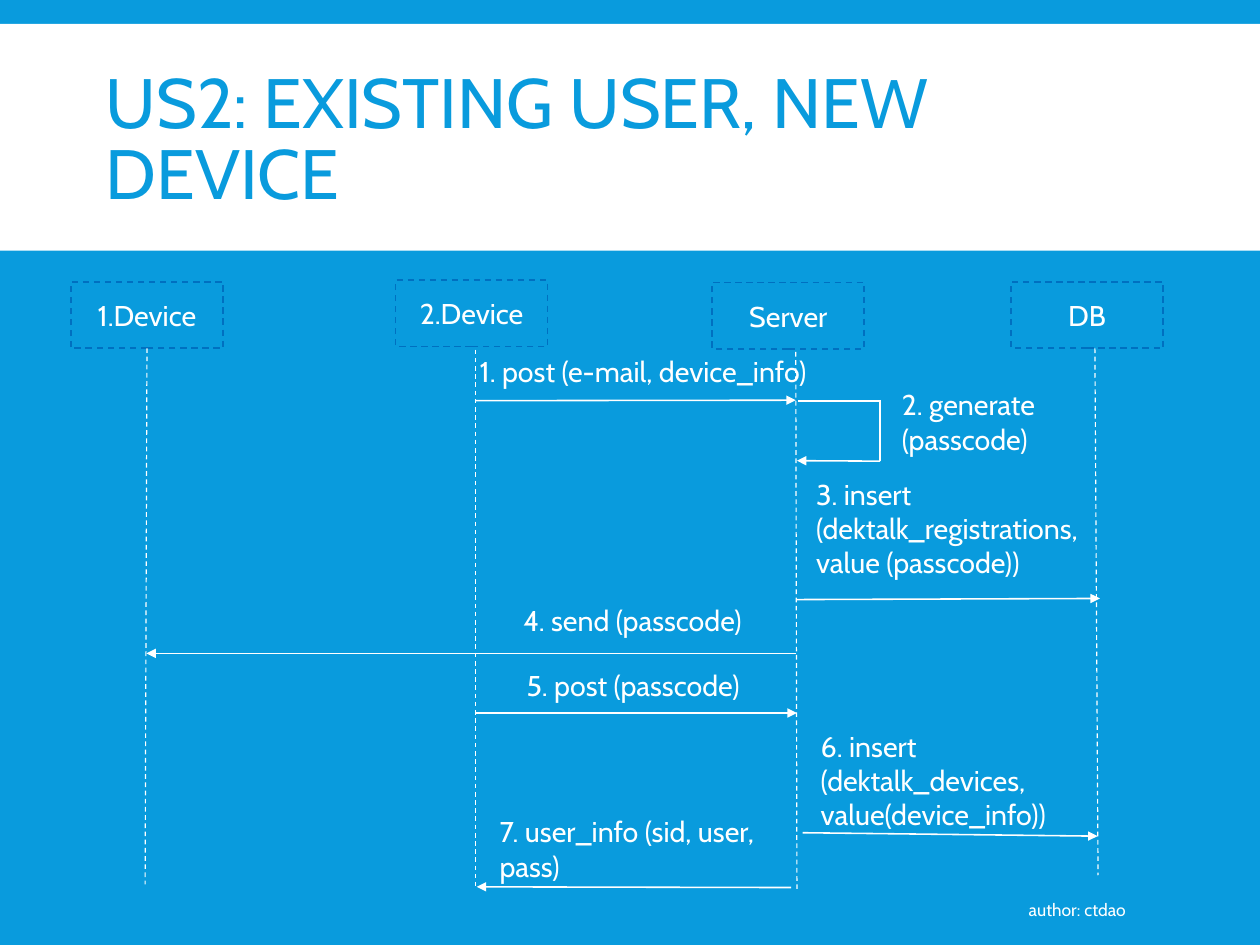
"""Builds the sequence diagram slide for an existing user with a new device."""
from pptx import Presentation
from pptx.dml.color import RGBColor
from pptx.enum.dml import MSO_LINE
from pptx.enum.shapes import MSO_CONNECTOR, MSO_SHAPE
from pptx.enum.text import MSO_ANCHOR, PP_ALIGN
from pptx.oxml.ns import qn
from pptx.util import Emu, Pt
from lxml.etree import SubElement

BLUE, WHITE, EDGE = "099BDD", "FFFFFF", "0070C0"
rgb = RGBColor.from_string

prs = Presentation()
prs.slide_width, prs.slide_height = Emu(10080625), Emu(7559675)
s = prs.slides.add_slide(prs.slide_layouts[6])
s.background.fill.solid()
s.background.fill.fore_color.rgb = rgb(BLUE)


def grid(*shares):
    """Turn alternating percentages of slide width and height into lengths."""
    sides = (prs.slide_width, prs.slide_height) * 2
    return [round(side * share / 100) for side, share in zip(sides, shares)]


def write(sp, text, size=18, align=PP_ALIGN.LEFT, anchor=MSO_ANCHOR.MIDDLE, color=WHITE):
    """Put one run of text into a shape."""
    tf = sp.text_frame
    tf.word_wrap = True
    tf.vertical_anchor = anchor
    p = tf.paragraphs[0]
    p.alignment = align
    r = p.add_run()
    r.text = text
    r.font.name, r.font.size = "Cabin", Pt(size)
    r.font.color.rgb = rgb(color)
    return p


band = s.shapes.add_shape(MSO_SHAPE.RECTANGLE, *grid(0, 2.54, 100, 24))
band.shadow.inherit = False
band.fill.solid()
band.fill.fore_color.rgb = rgb(WHITE)
band.line.fill.background()

title = s.shapes.add_textbox(*grid(7.5, 4.1, 85.03, 22))
write(title, "US2: EXISTING USER, NEW DEVICE", 44, color=BLUE).line_spacing = 0.85
author = s.shapes.add_textbox(*grid(45.8, 93.59, 44.46, 5.32))
write(author, "author: ctdao", 11, PP_ALIGN.RIGHT)

participants = [
    ("1.Device", 5.63, 29.85, (11.66, 36.88, 11.52, 93.59)),
    ("2.Device", 31.4, 29.65, (37.75, 37, 37.75, 93.71)),
    ("Server", 56.53, 29.9, (63.16, 37.24, 63.25, 94.07)),
    ("DB", 80.25, 29.85, (86.9, 36.88, 87.15, 92.62)),
]
box_w, box_h = 12.07, 7.01
lines = []
for name, left, top, lifeline in participants:
    box = s.shapes.add_shape(MSO_SHAPE.RECTANGLE, *grid(left, top, box_w, box_h))
    box.shadow.inherit = False
    box.fill.background()
    box.line.color.rgb = rgb(EDGE)
    box.line.width = Pt(1)
    box.line.dash_style = MSO_LINE.DASH
    write(box, name, align=PP_ALIGN.CENTER)
    centred = abs(lifeline[0] - left - box_w / 2) < 0.1
    lines.append((lifeline, "lifeline", box if centred else None))

lines += [(ends, kind, None) for ends, kind in [
    ((37.75, 42.4, 63.16, 42.35), "arrow"),
    ((63.34, 42.44, 69.78, 42.44), "plain"),
    ((69.85, 42.32, 69.85, 48.8), "plain"),
    ((69.85, 48.8, 63.25, 48.75), "arrow"),
    ((63.25, 63.45, 87.3, 63.33), "arrow"),
    ((63.16, 69.15, 11.62, 69.15), "arrow"),
    ((37.75, 75.45, 63.25, 75.45), "arrow"),
    ((63.7, 88.12, 87.11, 88.48), "arrow"),
    ((62.79, 93.92, 37.84, 93.85), "arrow"),
]]
for ends, kind, box in lines:
    c = s.shapes.add_connector(MSO_CONNECTOR.STRAIGHT, *grid(*ends))
    if box:
        c.begin_connect(box, 2)
    c.line.color.rgb = rgb(WHITE)
    c.line.width = Pt(0.75 if kind == "lifeline" else 1)
    if kind == "lifeline":
        c.line.dash_style = MSO_LINE.DASH
    if kind == "arrow":
        SubElement(c.line._get_or_add_ln(), qn("a:tailEnd"), type="triangle")
    SubElement(c._element.spPr, qn("a:effectLst"))

labels = [
    ("1. post (e-mail, device_info)", 37.18, 36.88, 28.31, 8.46),
    ("2. generate (passcode)", 70.69, 40.39, 15.97, 8.46),
    ("3. insert (dektalk_registrations, value (passcode))", 63.88, 49.84, 23.14, 15.72),
    ("4. send (passcode)", 40.65, 63.24, 20.15, 8.46),
    ("5. post (passcode)", 40.9, 70.1, 20.6, 8.46),
    ("6. insert (dektalk_devices, value(device_info))", 64.25, 76.5, 21.87, 12.09),
    ("7. user_info (sid, user, pass)", 38.75, 85.58, 23.96, 8.46),
]
for text, *area in labels:
    write(s.shapes.add_textbox(*grid(*area)), text, anchor=MSO_ANCHOR.TOP)

prs.save("out.pptx")
